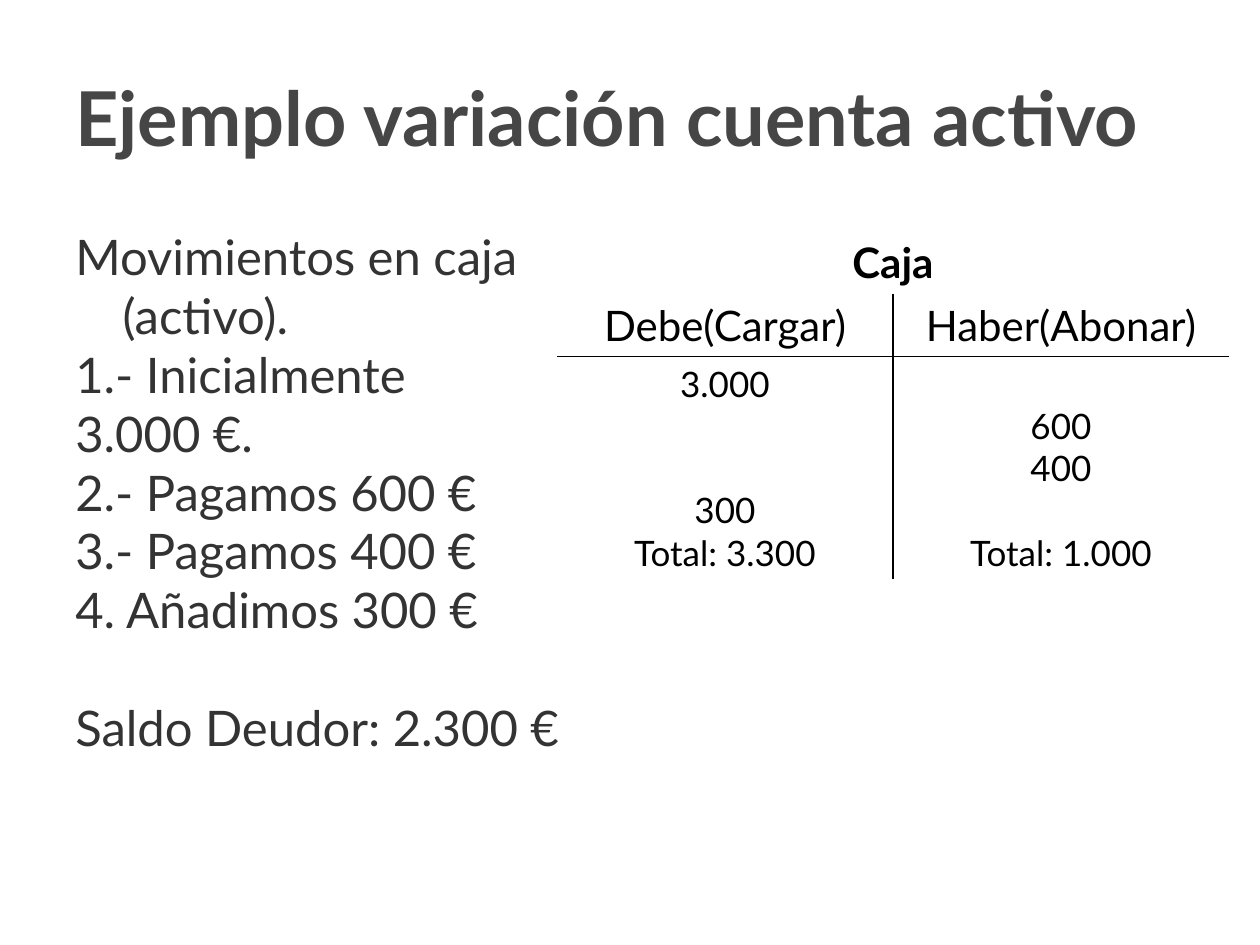
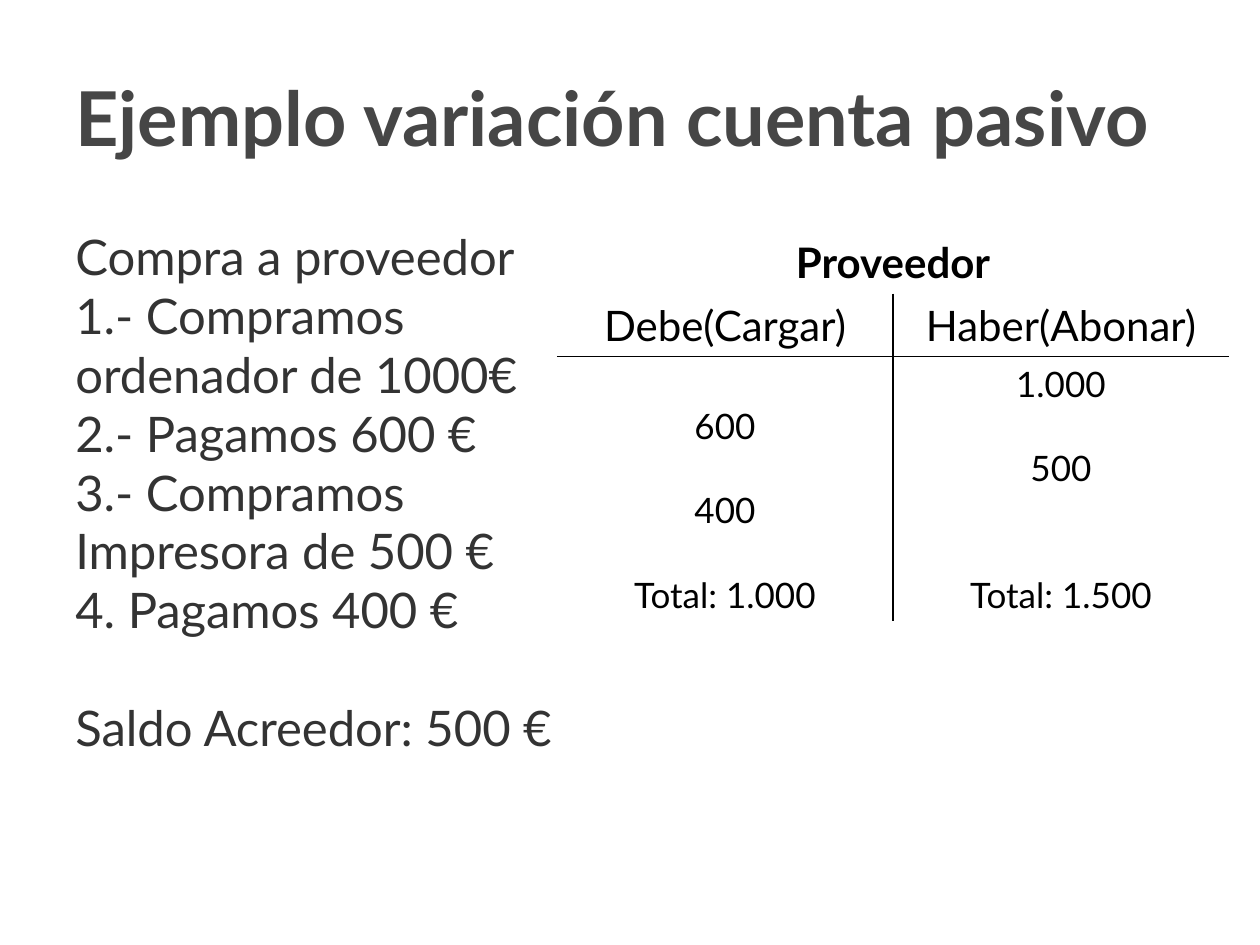
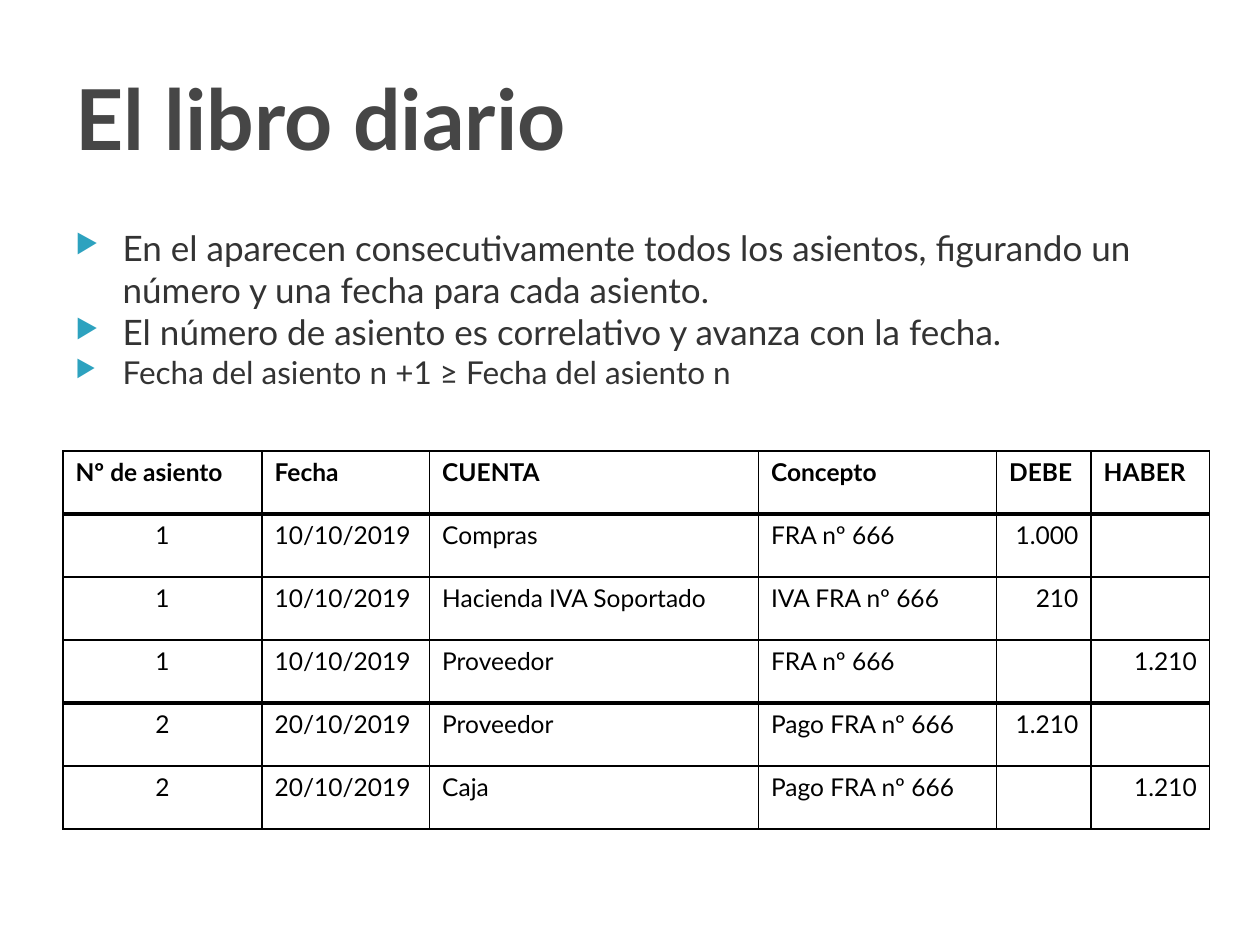
"""Builds three accounting slides: two T-accounts and a journal."""
from lxml import etree
from pptx import Presentation
from pptx.dml.color import RGBColor
from pptx.enum.text import MSO_ANCHOR, PP_ALIGN
from pptx.oxml.ns import qn
from pptx.util import Inches, Pt

LEFT, CENTER, RIGHT = PP_ALIGN.LEFT, PP_ALIGN.CENTER, PP_ALIGN.RIGHT
MIDDLE, TOP = MSO_ANCHOR.MIDDLE, MSO_ANCHOR.TOP
FONT = "Lato"
TITLE, BODY, INK, PAPER, ACCENT = "464646", "333333", "000000", "FFFFFF", "2DA2BF"
NO_GRID_STYLE = "{2D5ABB26-0587-4C30-8999-92F81FD0307C}"
LINE_HEIGHT = 1.2
ENTRY_SIZE = 20
ENTRY_STEP = ENTRY_SIZE * LINE_HEIGHT

presentation = Presentation()
presentation.slide_width, presentation.slide_height = Inches(10), Inches(7.5)
column = presentation.slide_width / 100
row = presentation.slide_height / 75
indent = int(3.75 * column)
blank_layout = presentation.slide_layouts[6]


def write(paragraph, text, colour, alignment=LEFT, **font_values):
    """Adds one formatted run to a paragraph."""
    paragraph.alignment = alignment
    run = paragraph.add_run()
    run.text = text
    run.font.color.rgb = RGBColor.from_string(colour)
    for name, value in {"name": FONT, "bold": False, **font_values}.items():
        setattr(run.font, name, value)


def finish_cell(cell, borders):
    """Draws the given borders of a cell and fills it."""
    properties = cell._tc.get_or_add_tcPr()
    for side in "LRTB":
        if side in borders:
            line = etree.SubElement(properties, qn(f"a:ln{side}"), w=str(Pt(borders[side])))
            fill = etree.SubElement(line, qn("a:solidFill"))
            etree.SubElement(fill, qn("a:srgbClr"), val=INK)
    cell.fill.solid()
    cell.fill.fore_color.rgb = RGBColor.from_string(PAPER)


pages = [
    {"title": "Ejemplo variación cuenta activo", "size": 43.2, "columns": 2, "bullet": False,
     "body": [("Movimientos en caja (activo).", 28, 0), ("1.- Inicialmente", 28, 0),
              ("3.000 €.", 28, 0), ("2.- Pagamos 600 €", 28, 0), ("3.- Pagamos 400 €", 28, 0),
              ("4. Añadimos 300 €", 28, 0), ("Saldo Deudor: 2.300 €", 28, 1)],
     "account": "Caja",
     "entries": [["3.000", "", "", "300", "Total: 3.300"],
                 ["", "600", "400", "", "Total: 1.000"]]},
    {"title": "Ejemplo variación cuenta pasivo", "size": 43.2, "columns": 2, "bullet": False,
     "body": [("Compra a proveedor", 28, 0), ("1.- Compramos", 28, 0),
              ("ordenador de 1000€", 28, 0), ("2.- Pagamos 600 €", 28, 0),
              ("3.- Compramos", 28, 0), ("Impresora de 500 €", 28, 0),
              ("4. Pagamos 400 €", 28, 0), ("Saldo Acreedor: 500 €", 28, 1)],
     "account": "Proveedor",
     "entries": [["", "600", "", "400", "", "Total: 1.000"],
                 ["1.000", "", "500", "", "", "Total: 1.500"]]},
    {"title": "El libro diario", "size": 48, "columns": 1, "bullet": True,
     "body": [("En el aparecen consecutivamente todos los asientos, figurando un número "
               "y una fecha para cada asiento.", 20, 0),
              ("El número de asiento es correlativo y avanza con la fecha.", 20, 0),
              ("Fecha del asiento n +1 ≥ Fecha del asiento n", 18, 0)]},
]

for page in pages:
    slide = presentation.slides.add_slide(blank_layout)

    title_box = slide.shapes.add_textbox(
        int(5 * column), int(3 * row), int(90 * column), int(12.5 * row))
    body_box = slide.shapes.add_textbox(
        int(5 * column), int(17.5 * row), int(90 * column), int(49.5 * row))
    for shape, anchor in ((title_box, MIDDLE), (body_box, TOP)):
        for name, value in {"word_wrap": True, "vertical_anchor": anchor}.items():
            setattr(shape.text_frame, name, value)
    write(title_box.text_frame.paragraphs[0], page["title"], TITLE,
          size=Pt(page["size"]), bold=True)

    body = body_box.text_frame
    body._txBody.bodyPr.set("numCol", str(page["columns"]))
    for index, (text, size, skipped) in enumerate(page["body"]):
        paragraph = body.add_paragraph() if index else body.paragraphs[0]
        write(paragraph, text, BODY, size=Pt(size))
        paragraph.space_before = Pt(skipped * size * LINE_HEIGHT)
        properties = paragraph._p.get_or_add_pPr()
        properties.set("marL", str(indent))
        properties.set("indent", str(-indent))
        if page["bullet"]:
            bullet_colour = etree.SubElement(properties, qn("a:buClr"))
            etree.SubElement(bullet_colour, qn("a:srgbClr"), val=ACCENT)
            etree.SubElement(properties, qn("a:buSzPct"), val="75000")
            etree.SubElement(properties, qn("a:buChar"), char="▶")

    if "account" in page:
        entry_height = Pt(ENTRY_STEP * len(page["entries"][0])) + row
        heights = [5 * row, 5 * row, entry_height]
        widths = [26.67 * column] * 2
        left, top = 44.2 * column, 18.3 * row
    else:
        heights = [5 * row] * 6
        widths = [share * column for share in (15.8, 13.3, 26.1, 18.9, 7.5, 9.4)]
        left, top = 5 * column, 35.8 * row
    table = slide.shapes.add_table(
        len(heights), len(widths), int(left), int(top),
        int(sum(widths)), int(sum(heights))).table
    table.first_row = table.horz_banding = False
    table._tbl.tblPr.find(qn("a:tableStyleId")).text = NO_GRID_STYLE
    for table_column, width in zip(table.columns, widths):
        table_column.width = int(width)
    for table_row, height in zip(table.rows, heights):
        table_row.height = int(height)

    if "account" in page:
        heading = table.cell(0, 0)
        heading.merge(table.cell(0, 1))
        write(heading.text_frame.paragraphs[0], page["account"], INK, CENTER,
              size=Pt(24), bold=True)
        finish_cell(heading, {})
        for side, (label, inner) in enumerate((("Debe(Cargar)", "R"), ("Haber(Abonar)", "L"))):
            label_cell, entry_cell = table.cell(1, side), table.cell(2, side)
            write(label_cell.text_frame.paragraphs[0], label, INK, CENTER, size=Pt(24))
            finish_cell(label_cell, {inner: 1, "B": 1})
            skipped, started = 0, False
            for entry in page["entries"][side]:
                if not entry:
                    skipped += 1
                    continue
                frame = entry_cell.text_frame
                paragraph = frame.add_paragraph() if started else frame.paragraphs[0]
                write(paragraph, entry, INK, CENTER, size=Pt(ENTRY_SIZE))
                if started:
                    paragraph.space_before = Pt(skipped * ENTRY_STEP)
                else:
                    entry_cell.margin_top = int(row / 2) + Pt(skipped * ENTRY_STEP)
                skipped, started = 0, True
            finish_cell(entry_cell, {inner: 1, "T": 1})
    else:
        journal = [
            ("Nº de asiento", "Fecha", "CUENTA", "Concepto", "DEBE", "HABER"),
            ("1", "10/10/2019", "Compras", "FRA nº 666", "1.000", ""),
            ("1", "10/10/2019", "Hacienda IVA Soportado", "IVA FRA nº 666", "210", ""),
            ("1", "10/10/2019", "Proveedor", "FRA nº 666", "", "1.210"),
            ("2", "20/10/2019", "Proveedor", "Pago FRA nº 666", "1.210", ""),
            ("2", "20/10/2019", "Caja", "Pago FRA nº 666", "", "1.210"),
        ]
        alignments = (CENTER, LEFT, LEFT, LEFT, RIGHT, RIGHT)
        group_starts = (1, 4)
        for line_index, values in enumerate(journal):
            is_header = line_index == 0
            borders = {"L": 1, "R": 1,
                       "T": 3 if line_index in group_starts else 1,
                       "B": 3 if line_index + 1 in group_starts else 1}
            for column_index, value in enumerate(values):
                cell = table.cell(line_index, column_index)
                if value:
                    write(cell.text_frame.paragraphs[0], value, INK,
                          LEFT if is_header else alignments[column_index],
                          size=Pt(14), bold=is_header)
                finish_cell(cell, borders)

presentation.save("out.pptx")
